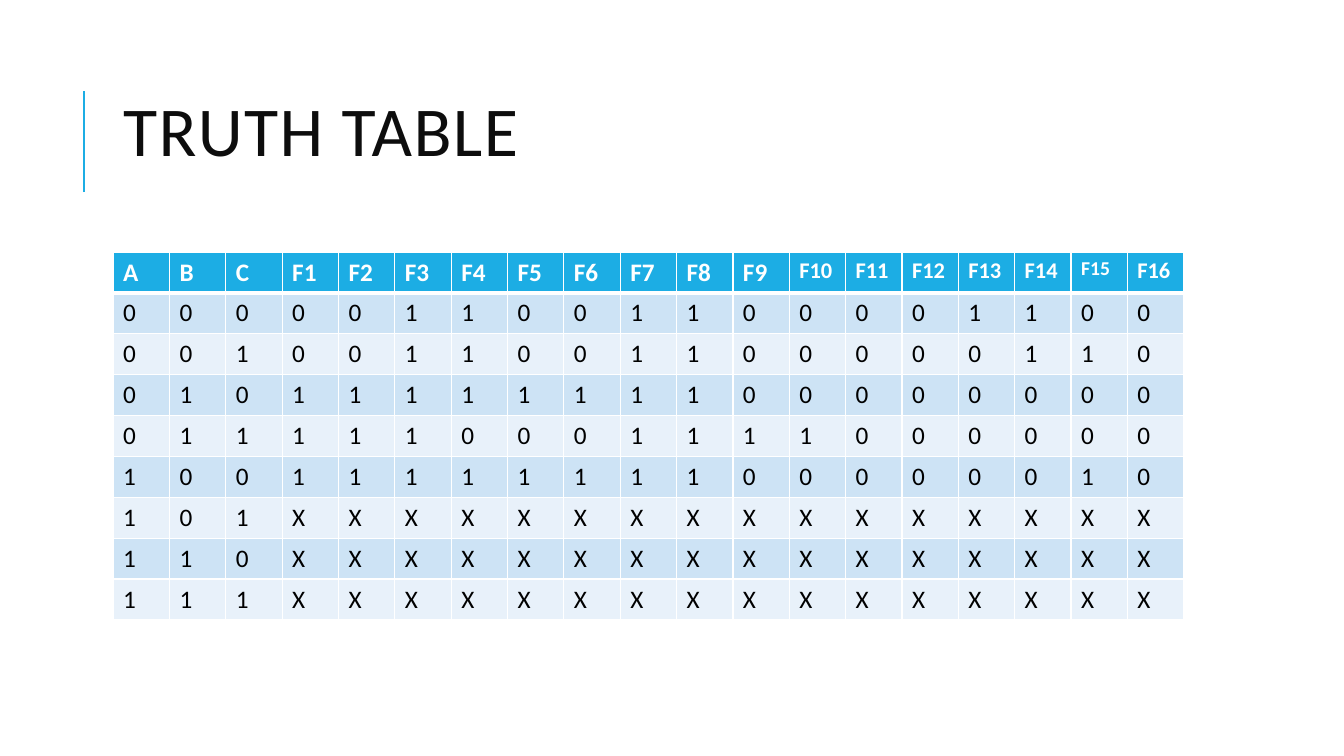
"""Build a slide showing a truth table of sixteen functions of three inputs."""
import itertools

import lxml.etree
import pptx
import pptx.dml.color
import pptx.enum.shapes
import pptx.enum.text
import pptx.oxml.ns
import pptx.util

Cm = pptx.util.Cm
Pt = pptx.util.Pt
qn = pptx.oxml.ns.qn

COLOURS = {
    "accent": "1CADE4",
    "title": "0D0D0D",
    "body": "000000",
    "white": "FFFFFF",
    "odd": "CDE3F5",
    "even": "E8F1FA",
}
FONT = "Calibri"
HEADER_SIZES = {"F10": 16, "F11": 16, "F12": 16, "F13": 16, "F14": 16, "F15": 14, "F16": 16}
OUTPUTS = [
    "0011001100001100",
    "0011001100000110",
    "1111111100000000",
    "1110001111000000",
    "1111111100000010",
    "X" * 16,
    "X" * 16,
    "X" * 16,
]


def colour(name):
    """Return the named colour."""
    return pptx.dml.color.RGBColor.from_string(COLOURS[name])


def write_text(frame, text, size=18, ink="body", bold=False, spacing=None, tracking=None):
    """Put one formatted paragraph into a text frame."""
    para = frame.paragraphs[0]
    para.alignment = pptx.enum.text.PP_ALIGN.LEFT
    if spacing:
        para.line_spacing = spacing
    span = para.add_run()
    span.text = text
    span.font.name = FONT
    span.font.size = Pt(size)
    span.font.bold = bold
    span.font.color.rgb = colour(ink)
    if tracking:
        span.font._element.set("spc", str(tracking))


def add_title(page, text):
    """Place and fill the title placeholder."""
    box = page.shapes.title
    box.left, box.top, box.width, box.height = Cm(2.85), Cm(2.24), Cm(27), Cm(2.41)
    frame = box.text_frame
    frame.word_wrap = True
    frame.auto_size = pptx.enum.text.MSO_AUTO_SIZE.NONE
    frame.vertical_anchor = pptx.enum.text.MSO_ANCHOR.MIDDLE
    write_text(frame, text, size=50, ink="title", spacing=0.8, tracking=100)


def add_rule(page, x, top, bottom):
    """Draw the vertical accent line beside the title."""
    rule = page.shapes.add_connector(
        pptx.enum.shapes.MSO_CONNECTOR.STRAIGHT, Cm(x), Cm(bottom), Cm(x), Cm(top))
    rule.line.color.rgb = colour("accent")
    rule.line.width = Pt(1.5)
    lxml.etree.SubElement(rule._element.spPr, qn("a:effectLst"))


def set_borders(cell, **widths):
    """Give a cell white borders, with widths in points by side."""
    properties = cell._tc.get_or_add_tcPr()
    for index, (side, width) in enumerate(widths.items()):
        border = lxml.etree.Element(qn("a:ln" + side), w=str(Pt(width)))
        fill = lxml.etree.SubElement(border, qn("a:solidFill"))
        lxml.etree.SubElement(fill, qn("a:srgbClr"), val=COLOURS["white"])
        properties.insert(index, border)


def fill_cell(cell, text, row):
    """Write and style a cell according to its row."""
    cell.fill.solid()
    if row == 0:
        cell.fill.fore_color.rgb = colour("accent")
        write_text(cell.text_frame, text, size=HEADER_SIZES.get(text, 18), ink="white", bold=True)
    else:
        cell.fill.fore_color.rgb = colour("odd" if row % 2 else "even")
        write_text(cell.text_frame, text)
    set_borders(cell, L=1, R=1, T=3 if row == 1 else 1, B=3 if row == 0 else 1)


def add_truth_table(page, rows):
    """Add the table on an even grid of columns and rows."""
    column_width, row_height = Cm(1.42), Cm(1.03)
    count = len(rows[0])
    table = page.shapes.add_table(
        len(rows), count, Cm(2.85), Cm(6.35),
        column_width * count, row_height * len(rows)).table
    for column in table.columns:
        column.width = column_width
    for row, values in enumerate(rows):
        table.rows[row].height = row_height
        for column, value in enumerate(values):
            fill_cell(table.cell(row, column), value, row)


def main():
    """Build and save the deck."""
    deck = pptx.Presentation()
    deck.slide_width, deck.slide_height = Cm(33.87), Cm(19.05)
    page = deck.slides.add_slide(deck.slide_layouts[5])
    add_rule(page, 2.12, 2.3, 4.84)
    add_title(page, "TRUTH TABLE")
    header = [*"ABC", *(f"F{number}" for number in range(1, 17))]
    inputs = itertools.product("01", repeat=3)
    add_truth_table(page, [header] + [[*bits, *outputs] for bits, outputs in zip(inputs, OUTPUTS)])
    deck.save("out.pptx")


if __name__ == "__main__":
    main()
